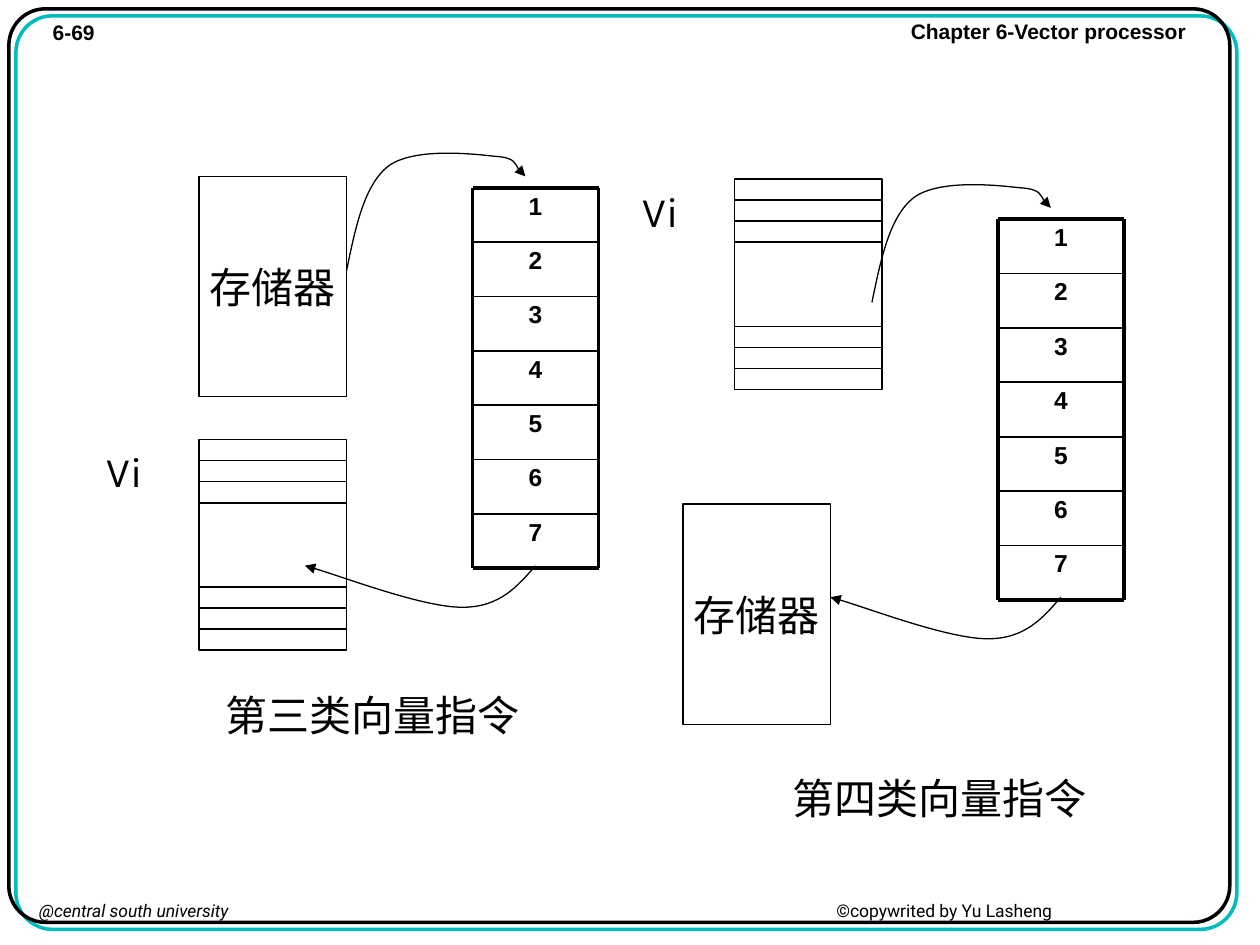
from lxml import etree
from pptx import Presentation
from pptx import util as u
from pptx.dml.color import RGBColor
from pptx.enum import shapes, text
from pptx.oxml import parse_xml
from pptx.oxml.ns import nsdecls, qn

BLACK = RGBColor(0x00, 0x00, 0x00)
TEAL = RGBColor(0x00, 0xBC, 0xBC)
HEAD = dict(name="Arial", size=u.Pt(12), bold=True)
CELL = dict(name="Arial", size=u.Pt(14), bold=True)
BODY = dict(name="Karla", size=u.Pt(24))
FOOT = dict(name="Roboto", size=u.Pt(10))
CENTER = text.PP_ALIGN.CENTER
STAGES = 7
RISE = [(-1, 0.66), (-0.93, 0.32), (-0.86, -0.02), (-0.67, -0.17),
        (-0.47, -0.32), (-0.01, -0.27), (0.17, -0.25),
        (0.35, -0.24), (0.37, -0.11), (0.42, -0.09)]
FALL = [(0.5, 3), (0.36, 3.16), (0.22, 3.33), (-0.08, 3.33),
        (-0.39, 3.33), (-1.13, 3.05), (-1.33, 3)]


def place(box):
    """Turn a box in inches into lengths."""
    return [u.Inches(v) for v in box]


def style(font, form):
    """Apply format values to a font."""
    for key, val in form.items():
        setattr(font, key, val)
    font.color.rgb = BLACK


def stroke(item, width):
    """Give a shape or connector a plain black line."""
    item.line.color.rgb = BLACK
    item.line.width = u.Pt(width)


def label(slide, box, words, form, align=None, wrap=True):
    """Add a text box with one line of text."""
    frame = slide.shapes.add_textbox(*place(box)).text_frame
    frame.word_wrap = wrap
    para = frame.paragraphs[0]
    para.text = words
    para.alignment = align
    style(para.font, form)
    return para


def rule(slide, start, end, width):
    """Draw a straight line between two points."""
    line = slide.shapes.add_connector(
        shapes.MSO_CONNECTOR.STRAIGHT, *place(start + end))
    stroke(line, width)
    etree.SubElement(line._element.spPr, qn("a:effectLst"))


def block(slide, box, kind=shapes.MSO_SHAPE.RECTANGLE, width=0.75):
    """Draw an outlined shape."""
    shape = slide.shapes.add_shape(kind, *place(box))
    shape.shadow.inherit = False
    shape.fill.background()
    stroke(shape, width)
    return shape


def memory(slide, box):
    """Draw the memory block with its name."""
    frame = block(slide, box).text_frame
    frame.word_wrap = False
    frame.vertical_anchor = text.MSO_ANCHOR.MIDDLE
    para = frame.paragraphs[0]
    para.text = "存储器"
    para.alignment = CENTER
    style(para.font, BODY)


def vector(slide, box):
    """Draw the vector register with three rows at each end."""
    x, y, w, h = box
    block(slide, box)
    step = h / 10
    for row in (1, 2, 3, 7, 8, 9):
        level = y + row * step
        rule(slide, (x, level), (x + w, level), 0.75)
    label(slide, (x - 0.83, y, 0.75, 0.5), "Vi", BODY)


def curve(slide, x, y, points):
    """Draw a Bezier arrow through points relative to x, y."""
    spots = [place((x + dx, y + dy)) for dx, dy in points]
    build = slide.shapes.build_freeform(*spots[0])
    build.add_line_segments(spots[1:], close=False)
    shape = build.convert_to_shape()
    shape.shadow.inherit = False
    shape.fill.background()
    stroke(shape, 0.75)
    route = next(shape._element.iter(qn("a:path")))
    legs = route.findall(qn("a:lnTo"))
    for i in range(0, len(legs), 3):
        bend = etree.SubElement(route, qn("a:cubicBezTo"))
        for leg in legs[i:i + 3]:
            bend.append(leg[0])
            route.remove(leg)
    etree.SubElement(shape.line._get_or_add_ln(), qn("a:tailEnd"),
                     type="triangle")


def pipe(slide, box):
    """Draw the numbered pipeline and the arrows in and out of it."""
    x, y, w, h = box
    step = h / STAGES
    for i in range(STAGES):
        para = label(slide, (x, y + i * step, w, step), str(i + 1),
                     CELL, CENTER)
        para.line_spacing = 0.9
    for i in range(STAGES + 1):
        level = y + i * step
        rule(slide, (x, level), (x + w, level),
             2.25 if i in (0, STAGES) else 1)
    for side in (x, x + w):
        rule(slide, (side, y), (side, y + h), 2.25)
    for points in (RISE, FALL):
        curve(slide, x, y, points)


def border(slide, box):
    """Draw the page frame with its offset shadow."""
    frame = block(slide, box, shapes.MSO_SHAPE.ROUNDED_RECTANGLE, 2)
    frame.adjustments[0] = 0.04
    frame._element.spPr.find(qn("a:effectLst")).append(parse_xml(
        f'<a:outerShdw {nsdecls("a")} dist="{u.Pt(5.7)}" dir="2700000" '
        f'algn="ctr" rotWithShape="0"><a:srgbClr val="{TEAL}"/>'
        '</a:outerShdw>'))


def footer(slide, box):
    """Write the footer with a tab between its two parts."""
    frame = slide.shapes.add_textbox(*place(box)).text_frame
    frame.word_wrap = True
    para = frame.paragraphs[0]
    tabs = etree.SubElement(para._p.get_or_add_pPr(), qn("a:tabLst"))
    etree.SubElement(tabs, qn("a:tab"), pos=str(u.Inches(6.33)), algn="l")
    for words, slant in (("@central south university", True),
                         ("\t©copywrited by Yu Lasheng", False)):
        run = para.add_run()
        run.text = words
        style(run.font, dict(FOOT, italic=slant))


def page(slide):
    """Place the frame, header and footer."""
    border(slide, (0.07, 0.07, 9.69, 7.25))
    label(slide, (0.32, 0.11, 0.56, 0.3), "6-69", HEAD, wrap=False)
    label(slide, (7.13, 0.1, 2.39, 0.3), "Chapter 6-Vector processor",
          HEAD, wrap=False)
    footer(slide, (0.21, 7.09, 9.58, 0.26))


def panel(slide, store, bank, flow, note, words):
    """Draw one class of vector instruction with its caption."""
    memory(slide, (*store, 1.17, 1.75))
    pipe(slide, (*flow, 1, 3.02))
    vector(slide, (*bank, 1.17, 1.67))
    label(slide, (*note, 3.25, 0.5), words, BODY, CENTER)


def main():
    """Build the slide."""
    deck = Presentation()
    deck.slide_width, deck.slide_height = place((10, 7.5))
    slide = deck.slides.add_slide(deck.slide_layouts[6])
    page(slide)
    panel(slide, (1.58, 1.4), (1.58, 3.49), (3.75, 1.49),
          (1.33, 5.42), "第三类向量指令")
    panel(slide, (5.42, 4), (5.83, 1.42), (7.92, 1.74),
          (5.83, 6.08), "第四类向量指令")
    deck.save("out.pptx")


if __name__ == "__main__":
    main()
